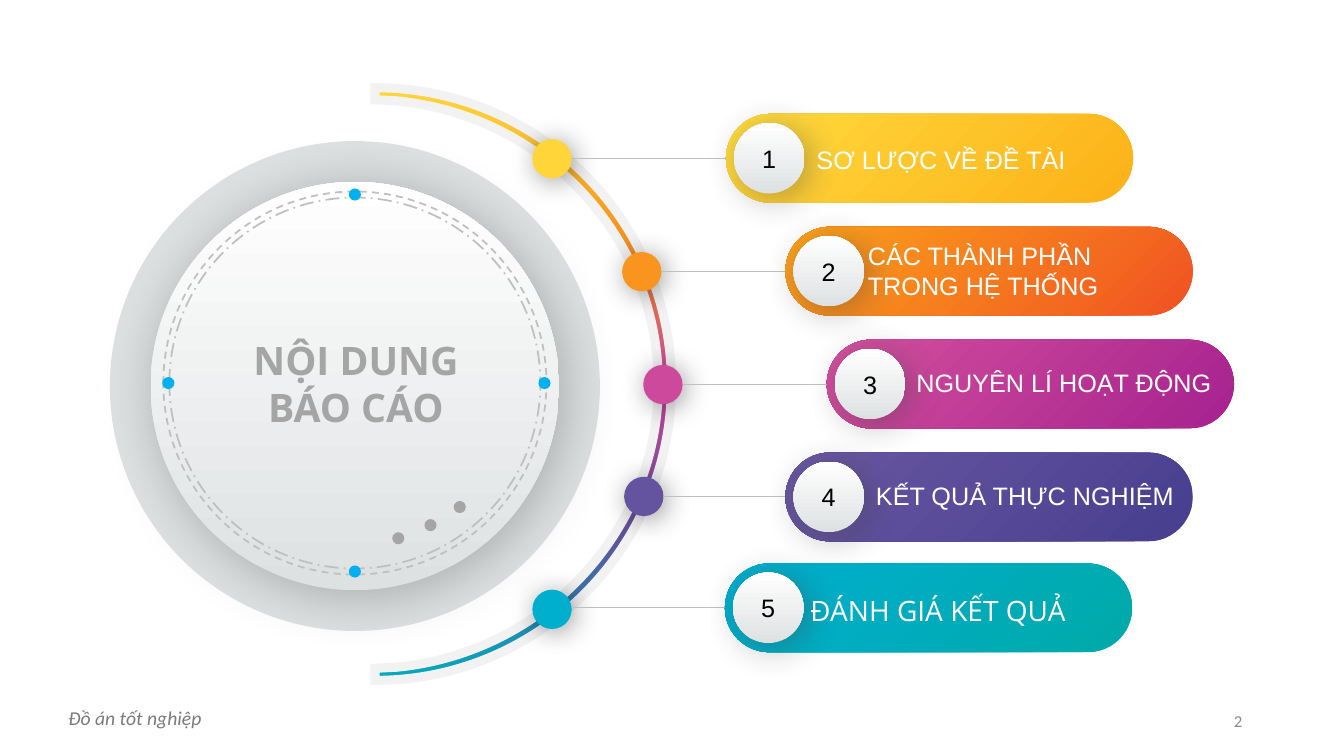
from pptx import Presentation
from pptx.dml.color import RGBColor
from pptx.enum.dml import MSO_LINE
from pptx.enum.shapes import MSO_CONNECTOR, MSO_SHAPE
from pptx.enum.text import MSO_ANCHOR, MSO_AUTO_SIZE, PP_ALIGN
from pptx.oxml import parse_xml
from pptx.oxml.ns import nsdecls, qn
from pptx.util import Inches, Pt

OVAL, PILL = MSO_SHAPE.OVAL, MSO_SHAPE.ROUNDED_RECTANGLE
STRAIGHT = MSO_CONNECTOR.STRAIGHT
DASH, LONG_DASH_DOT = MSO_LINE.DASH, MSO_LINE.LONG_DASH_DOT
LEFT, CENTER, RIGHT = PP_ALIGN.LEFT, PP_ALIGN.CENTER, PP_ALIGN.RIGHT
TOP, MIDDLE = MSO_ANCHOR.TOP, MSO_ANCHOR.MIDDLE

TITLE = "NỘI DUNG BÁO CÁO"
FOOTER = "Đồ án tốt nghiệp"
PAGE_NUMBER = "2"

TOPICS = [
    ("SƠ LƯỢC VỀ ĐỀ TÀI", (7.2, 1.13, ("FCB117", "FFDB3F")),
     (5.28, 1.38, "FFD539"), (8, 1.38, 3.23, 0.4, "Arial", 18)),
    ("CÁC THÀNH PHẦN TRONG HỆ THỐNG", (7.79, 2.25, ("F05222", "FBA31A")),
     (6.17, 2.5, "F9951F"), (8.51, 2.33, 3.23, 0.71, "Arial", 18)),
    ("NGUYÊN LÍ HOẠT ĐỘNG", (8.2, 3.37, ("A6228F", "D3509D")),
     (6.38, 3.62, "CC499B"), (8.99, 3.59, 3.25, 0.4, "Arial", 18)),
    ("KẾT QUẢ THỰC NGHIỆM", (7.79, 4.49, ("473E8F", "6957A1")),
     (6.19, 4.73, "64539E"), (8.59, 4.72, 3.24, 0.4, "Arial", 18)),
    ("ĐÁNH GIÁ KẾT QUẢ", (7.19, 5.59, ("00AAA9", "00AED0")),
     (5.28, 5.85, "00AECD"), (7.94, 5.84, 2.85, 0.44, "Open Sans", 20)),
]
SILVER = ("DDE1E2", "FFFFFF")
RAINBOW = ("FFD63A", "F4941D", "C74399", "60509C", "00ACBE")
DIAL_X, DIAL_Y, RING_Y = 3.52, 3.83, 3.8
DASHED_RINGS = [(3.8, DASH), (3.68, LONG_DASH_DOT)]
MARKERS = {
    "00B0F0": [(3.46, 1.87), (3.46, 5.61), (5.34, 3.74), (1.61, 3.74)],
    "A5A5A5": [(3.89, 5.28), (4.21, 5.15), (4.5, 4.97)],
}
ARC_START = (3.72, 0.87)
ARC_STEPS = [
    [(5.35, 0.87), (6.66, 2.19), (6.66, 3.81)],
    [(6.66, 5.43), (5.35, 6.75), (3.72, 6.75)],
    [(3.72, 6.63)],
    [(3.93, 6.62)],
    [(5.39, 6.48), (6.53, 5.27), (6.53, 3.81)],
    [(6.53, 2.35), (5.39, 1.14), (3.93, 1)],
    [(3.72, 0.99)],
]
PILL_WIDTH, PILL_HEIGHT = 4.04, 0.88
DOT, BADGE, MARKER = 0.39, 0.7, 0.12


def color(value):
    return RGBColor.from_string(value)


def paint_gradient(shape, colors, angle):
    step = 100000 // (len(colors) - 1)
    stops = "".join(
        f'<a:gs pos="{index * step}"><a:srgbClr val="{value}"/></a:gs>'
        for index, value in enumerate(colors))
    shape.fill.background()
    properties = shape._element.spPr
    properties.replace(properties.find(qn("a:noFill")), parse_xml(
        f'<a:gradFill {nsdecls("a")} rotWithShape="1"><a:gsLst>{stops}</a:gsLst>'
        f'<a:lin ang="{angle * 60000}" scaled="0"/></a:gradFill>'))


def add_shadow(shape, value, blur, distance):
    effects = shape._element.spPr.find(qn("a:effectLst"))
    effects.append(parse_xml(
        f'<a:outerShdw {nsdecls("a")} blurRad="{Pt(blur)}" dist="{Pt(distance)}" '
        f'dir="2700000" algn="tl" rotWithShape="0"><a:srgbClr val="{value}">'
        f'<a:alpha val="40000"/></a:srgbClr></a:outerShdw>'))


def add_plain(page, kind, left, top, width, height, fill=None):
    shape = page.shapes.add_shape(kind, Inches(left), Inches(top), Inches(width), Inches(height))
    shape.line.fill.background()
    shape.shadow.inherit = False
    if fill:
        shape.fill.solid()
        shape.fill.fore_color.rgb = color(fill)
    else:
        shape.fill.background()
    return shape


def add_disc(page, center_y, diameter, fill=None):
    radius = diameter / 2
    return add_plain(page, OVAL, DIAL_X - radius, center_y - radius, diameter, diameter, fill)


def write(shape, text, font, size, value, align=LEFT, anchor=TOP, bold=False, italic=False):
    frame = shape.text_frame
    frame.auto_size = MSO_AUTO_SIZE.NONE
    frame.word_wrap = True
    frame.vertical_anchor = anchor
    frame.text = text
    para = frame.paragraphs[0]
    para.alignment = align
    para.font.name, para.font.size = font, Pt(size)
    para.font.bold, para.font.italic = bold, italic
    para.font.color.rgb = color(value)


def add_text(page, left, top, width, height, *style, **options):
    box = page.shapes.add_textbox(Inches(left), Inches(top), Inches(width), Inches(height))
    write(box, *style, **options)


def add_dial(page):
    add_disc(page, DIAL_Y, 4.86, "DDE1E2")
    face = add_disc(page, DIAL_Y, 4.05)
    paint_gradient(face, SILVER, 270)
    add_shadow(face, "595959", 40, 6)
    for diameter, dash in DASHED_RINGS:
        ring = add_disc(page, RING_Y, diameter)
        ring.line.color.rgb = color("BFBFBF")
        ring.line.width = Pt(1.25)
        ring.line.dash_style = dash
    for value, places in MARKERS.items():
        for left, top in places:
            add_plain(page, OVAL, left, top, MARKER, MARKER, value)


def add_arc(page):
    builder = page.shapes.build_freeform(*map(Inches, ARC_START), scale=1.0)
    builder.add_line_segments(
        [(Inches(x), Inches(y)) for step in ARC_STEPS for x, y in step], close=True)
    arc = builder.convert_to_shape()
    segments = iter(list(arc._element.iter(qn("a:lnTo"))))
    for step in ARC_STEPS:
        parts = [next(segments) for point in step]
        if len(parts) == 3:
            curve = parse_xml(f'<a:cubicBezTo {nsdecls("a")}/>')
            parts[0].addprevious(curve)
            for part in parts:
                curve.append(part[0])
                part.getparent().remove(part)
    arc.shadow.inherit = False
    paint_gradient(arc, RAINBOW, 90)
    arc.line.color.rgb = color("F2F2F2")
    arc.line.width = Pt(6.5)
    outline = arc._element.spPr.find(qn("a:ln"))
    outline.append(parse_xml(f'<a:miter {nsdecls("a")} lim="800000"/>'))


def add_topic(page, number, text, pill_style, dot_style, label_style):
    left, top, colors = pill_style
    middle = top + PILL_HEIGHT / 2
    pill = add_plain(page, PILL, left, top, PILL_WIDTH, PILL_HEIGHT)
    pill.adjustments[0] = 0.5
    paint_gradient(pill, colors, 225)

    dot_left, dot_top, dot_color = dot_style
    dot = add_plain(page, OVAL, dot_left, dot_top, DOT, DOT, dot_color)
    add_shadow(dot, "000000", 20, 3)

    link = page.shapes.add_connector(
        STRAIGHT, Inches(dot_left + DOT), Inches(middle), Inches(left), Inches(middle))
    link.end_connect(pill, 1)
    link.line.color.rgb = color("BFBFBF")
    link.line.width = Pt(0.75)
    link._element.spPr.append(parse_xml(f'<a:effectLst {nsdecls("a")}/>'))

    badge = add_plain(page, OVAL, left + 0.08, middle - BADGE / 2, BADGE, BADGE)
    paint_gradient(badge, SILVER, 270)
    add_shadow(badge, "3F3F3F", 26, 5)
    write(badge, str(number), "Arial", 18, "000000", CENTER, MIDDLE)

    *place, font, size = label_style
    add_text(page, *place, text, font, size, "FFFFFF")


def main():
    deck = Presentation()
    deck.slide_width, deck.slide_height = Inches(13.33), Inches(7.5)
    page = deck.slides.add_slide(deck.slide_layouts[5])
    add_dial(page)
    add_arc(page)
    for number, topic in enumerate(TOPICS, 1):
        add_topic(page, number, *topic)

    title = page.shapes.title
    title.left, title.top, title.width, title.height = map(Inches, (2.33, 3.29, 2.4, 1.04))
    write(title, TITLE, "Open Sans", 28, "A5A5A5", CENTER, bold=True)
    page.shapes._spTree.append(title._element)

    add_text(page, 9.42, 6.95, 3, 0.4, PAGE_NUMBER, "Calibri", 12, "8C8C8C", RIGHT, MIDDLE)
    add_text(page, 0.58, 6.95, 1.54, 0.34, FOOTER, "Calibri", 14, "7B7B7B", italic=True)
    deck.save("out.pptx")


if __name__ == "__main__":
    main()
